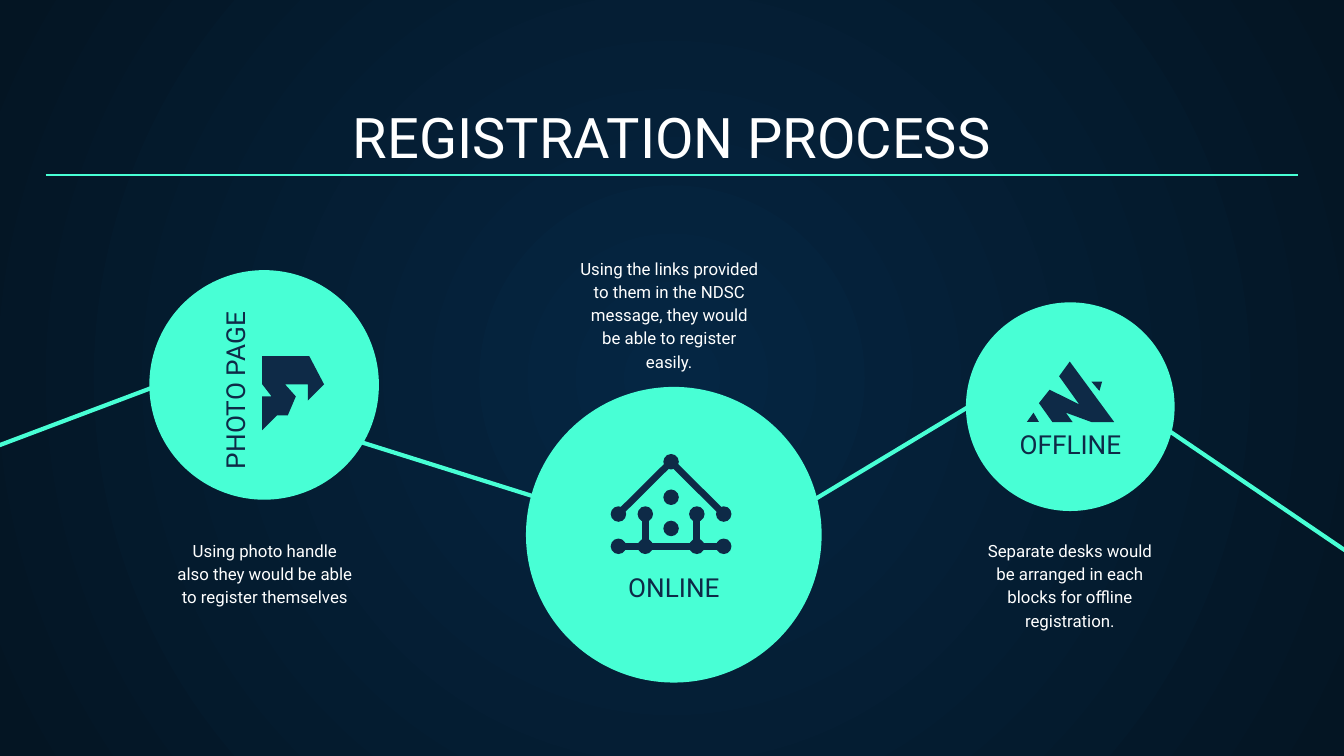
from pptx import Presentation
from pptx.dml.color import RGBColor
from pptx.enum.shapes import MSO_CONNECTOR as Connector, MSO_SHAPE as Shape
from pptx.enum.text import MSO_ANCHOR as Anchor, PP_ALIGN as Align
from pptx.oxml import parse_xml
from pptx.oxml.ns import nsdecls, qn
from pptx.util import Pt

COLORS = {"mint": "48FFD5", "navy": "0E2A47", "white": "FFFFFF",
          "glow": "052643", "edge": "041523"}
FONT = "Roboto"
LABEL_SIZE = (163.4, 15.1)
DETAIL_SIZE = (109.4, 39.6)

ARROW_OUTLINES = [
    [(0, 0), (0, 15.1), (5, 21.6), (0, 21.6), (0, 39.6), (7.9, 31.7), (13.7, 31.7),
     (18, 21.6), (12.2, 15.1), (24.5, 15.1), (24.5, 23.8), (33.1, 15.1), (25.2, 0)],
]
PEAK_OUTLINES = [
    [(3.6, 27.4), (0, 32.4), (6.5, 32.4)],
    [(34.6, 10.8), (38.9, 15.8), (40.3, 10.8)],
    [(23, 0), (17.3, 7.9), (28.1, 23), (12.2, 15.1), (6.5, 22.3), (13.7, 32.4),
     (24.5, 32.4), (20.9, 27.4), (34.6, 32.4), (46.8, 32.4)],
]


def rgb(name):
    """Return the named colour."""
    return RGBColor.from_string(COLORS[name])


def paint(shape, color):
    """Give a shape a plain fill without outline or shadow."""
    shape.shadow.inherit = False
    shape.fill.solid()
    shape.fill.fore_color.rgb = rgb(color)
    shape.line.fill.background()


def add_circle(shapes, left, top, diameter, color):
    """Add a filled circle."""
    circle = shapes.add_shape(Shape.OVAL, Pt(left), Pt(top), Pt(diameter), Pt(diameter))
    paint(circle, color)


def add_line(shapes, start, end, color, width):
    """Add a straight line without shadow."""
    line = shapes.add_connector(Connector.STRAIGHT, *map(Pt, (*start, *end)))
    line.line.color.rgb = rgb(color)
    line.line.width = Pt(width)
    line._element.spPr.append(parse_xml(f"<a:effectLst {nsdecls('a')}/>"))


def add_text(shapes, box, wording, size, color, anchor=Anchor.TOP):
    """Add a centred text box and return it."""
    textbox = shapes.add_textbox(*map(Pt, box))
    frame = textbox.text_frame
    frame.word_wrap = True
    frame.vertical_anchor = anchor
    frame.margin_left = frame.margin_right = Pt(7.2)
    frame.margin_top = frame.margin_bottom = Pt(7.2)
    paragraph = frame.paragraphs[0]
    paragraph.text = wording
    paragraph.alignment = Align.CENTER
    paragraph.font.name = FONT
    paragraph.font.size = Pt(size)
    paragraph.font.color.rgb = rgb(color)
    return textbox


def draw_outlines(shapes, left, top, outlines):
    """Draw an icon made of closed polygons."""
    for outline in outlines:
        points = [(Pt(left + x), Pt(top + y)) for x, y in outline]
        builder = shapes.build_freeform(*points[0])
        builder.add_line_segments(points[1:], close=True)
        paint(builder.convert_to_shape(), "navy")


def draw_arrow(shapes, left, top):
    """Draw the folded arrow icon."""
    draw_outlines(shapes, left, top, ARROW_OUTLINES)


def draw_peak(shapes, left, top):
    """Draw the mountain peak icon."""
    draw_outlines(shapes, left, top, PEAK_OUTLINES)


def draw_network(shapes, left, top):
    """Draw the house of linked nodes, mirrored about its middle."""
    middle, outer, inner, node = left + 33.5, 28.2, 13.8, 8.3
    apex, upper, eaves, lower, base = (top + y for y in (4, 23, 32, 39.7, 49.3))
    nodes = [(middle, y) for y in (apex, upper, lower)]
    links = [((middle - outer, base), (middle + outer, base))]
    for side in (-1, 1):
        links.append(((middle, apex), (middle + side * outer, eaves)))
        links.append(((middle + side * inner, eaves), (middle + side * inner, base)))
        nodes += [(middle + side * reach, y)
                  for reach in (inner, outer) for y in (eaves, base)]
    for start, end in links:
        add_line(shapes, start, end, "navy", 3.6)
    for x, y in nodes:
        add_circle(shapes, x - node / 2, y - node / 2, node, "navy")


def add_station(slide, box, draw_icon, icon_at, label, label_at, detail, detail_at,
                rotation=0):
    """Add one way to register: circle, icon, label and detail."""
    left, top, diameter = box
    add_circle(slide.shapes, left, top, diameter, "mint")
    icon = slide.shapes.add_group_shape()
    draw_icon(icon.shapes, left + icon_at[0], top + icon_at[1])
    heading = add_text(slide.shapes, (left + label_at[0], top + label_at[1], *LABEL_SIZE),
                       label, 14, "navy")
    heading.rotation = rotation
    description = add_text(
        slide.shapes, (left + detail_at[0], top + detail_at[1], *DETAIL_SIZE),
        detail, 9, "white")
    paragraph = description.text_frame.paragraphs[0]
    paragraph.line_spacing = 1.15
    paragraph.space_after = Pt(16)


def add_header(slide, box):
    """Add the title and the rule under it."""
    left, top, width, height = box
    add_text(slide.shapes, box, "REGISTRATION PROCESS", 30, "white", Anchor.BOTTOM)
    rule = top + height - 4.2
    add_line(slide.shapes, (left, rule), (left + width, rule), "mint", 0.75)


def set_background(slide):
    """Fill the background with a circular gradient."""
    fill = slide.background.fill
    fill.gradient()
    for stop, color in zip(fill.gradient_stops, ("glow", "edge")):
        stop.color.rgb = rgb(color)
    gradient = slide.element.find(f".//{qn('a:gradFill')}")
    gradient.replace(gradient.find(qn("a:lin")), parse_xml(
        f'<a:path {nsdecls("a")} path="circle">'
        '<a:fillToRect l="50000" t="50000" r="50000" b="50000"/></a:path>'))


def main():
    """Build and save the slide."""
    deck = Presentation()
    deck.slide_width, deck.slide_height = Pt(720), Pt(405)
    slide = deck.slides.add_slide(deck.slide_layouts[6])
    set_background(slide)
    add_header(slide, (24.5, 50.4, 671, 47.5))
    for start, end in (((184.3, 234), (310.3, 273.6)),
                       ((395.3, 292.3), (536.4, 207.4)),
                       ((101.5, 200.2), (-47.5, 256.3)),
                       ((738, 306.7), (601.2, 213.8))):
        add_line(slide.shapes, start, end, "mint", 2.25)
    add_station(slide, (80, 144.7, 123), draw_arrow, (60.5, 46.1),
                "PHOTO PAGE", (-44, 56.9),
                "Using photo handle also they would be able to register themselves",
                (7.1, 136.1), rotation=270)
    add_station(slide, (281.8, 207.3, 158.4), draw_network, (44.2, 36.1),
                "ONLINE", (-2.4, 91.5),
                "Using the links provided to them in the NDSC message, "
                "they would be able to register easily.", (22, -77.7))
    add_station(slide, (517.5, 162, 111.8), draw_peak, (32.6, 31.7),
                "OFFLINE", (-25.7, 60.5),
                "Separate desks would be arranged in each blocks "
                "for offline registration.", (0.9, 118.8))
    deck.save("out.pptx")


if __name__ == "__main__":
    main()
